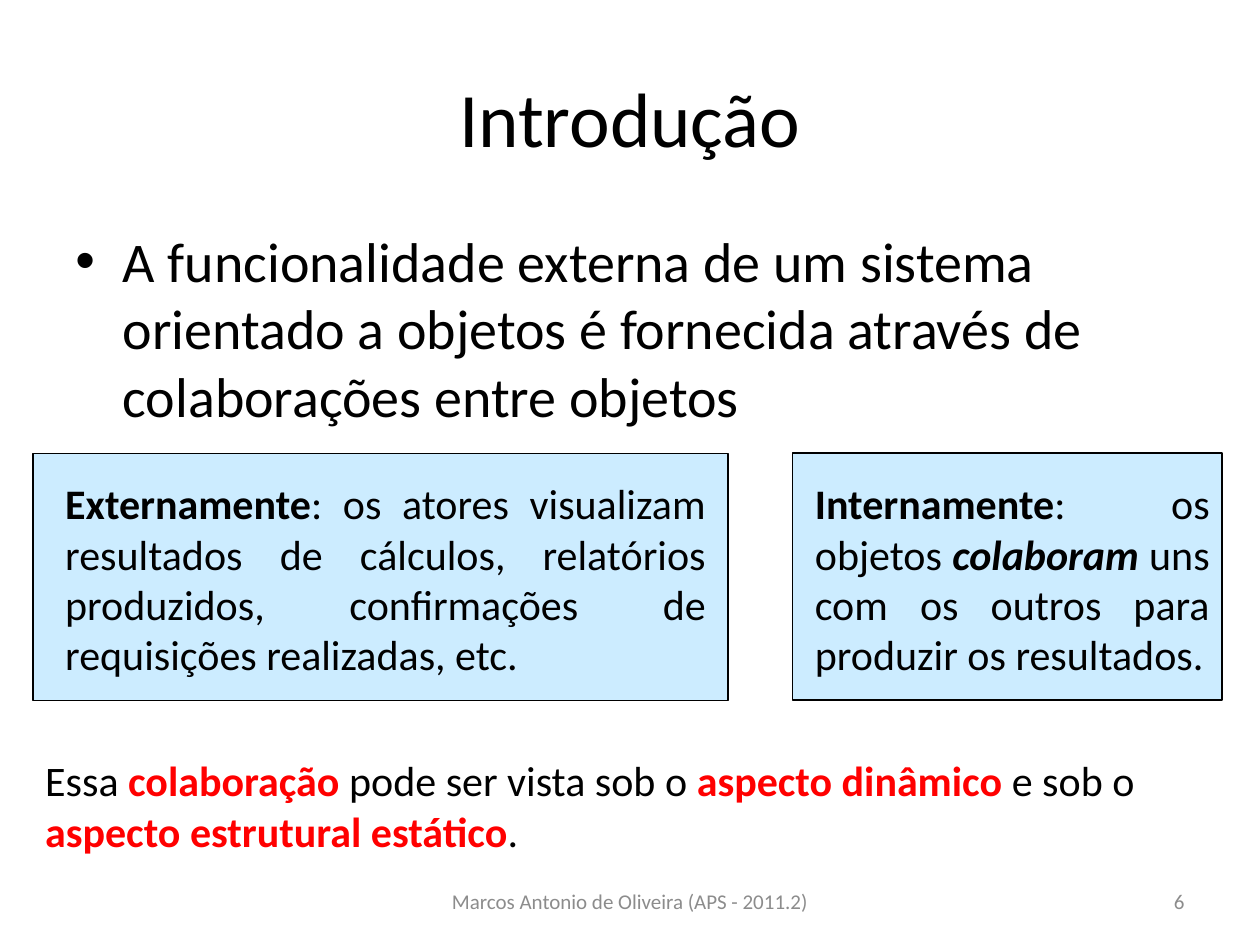
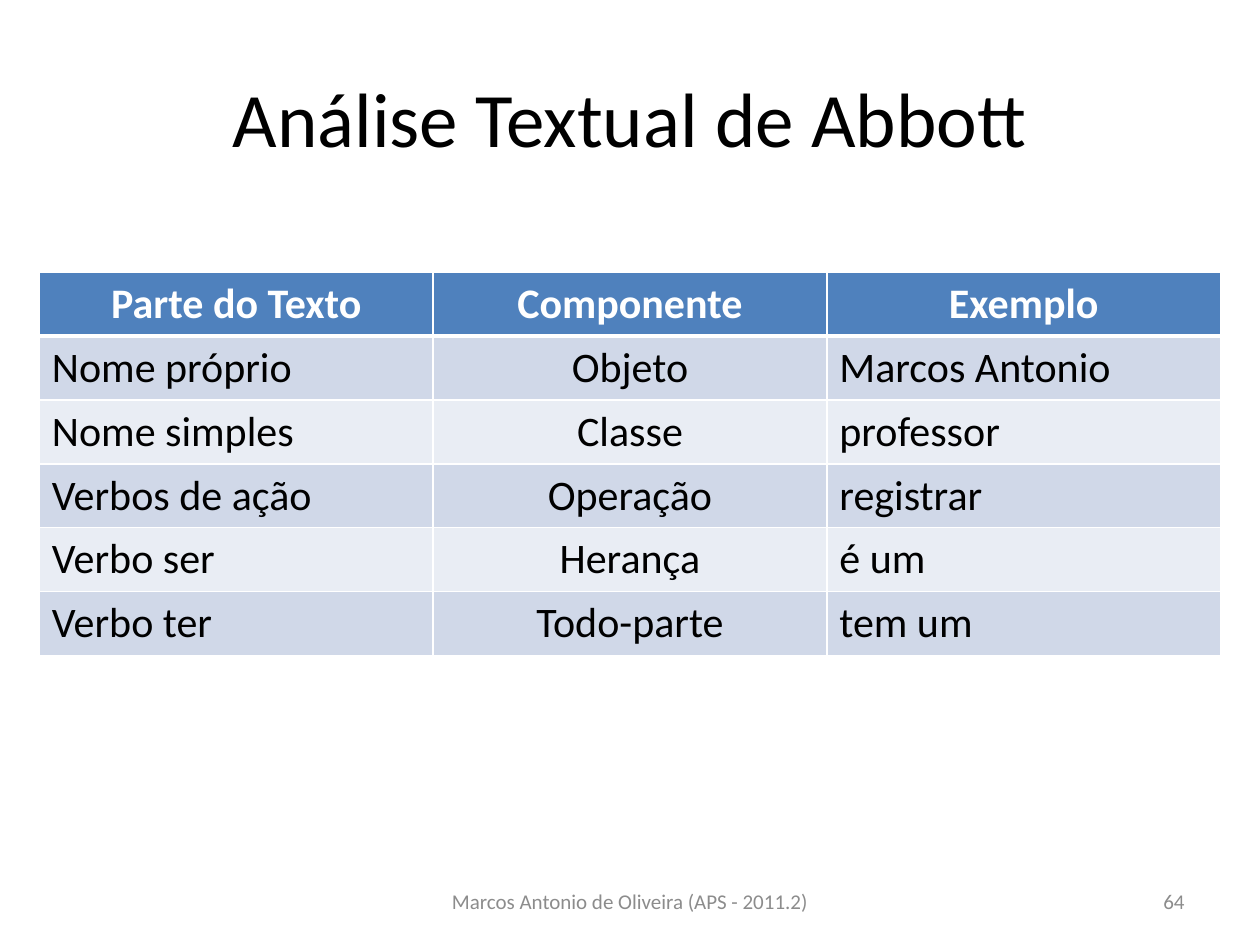
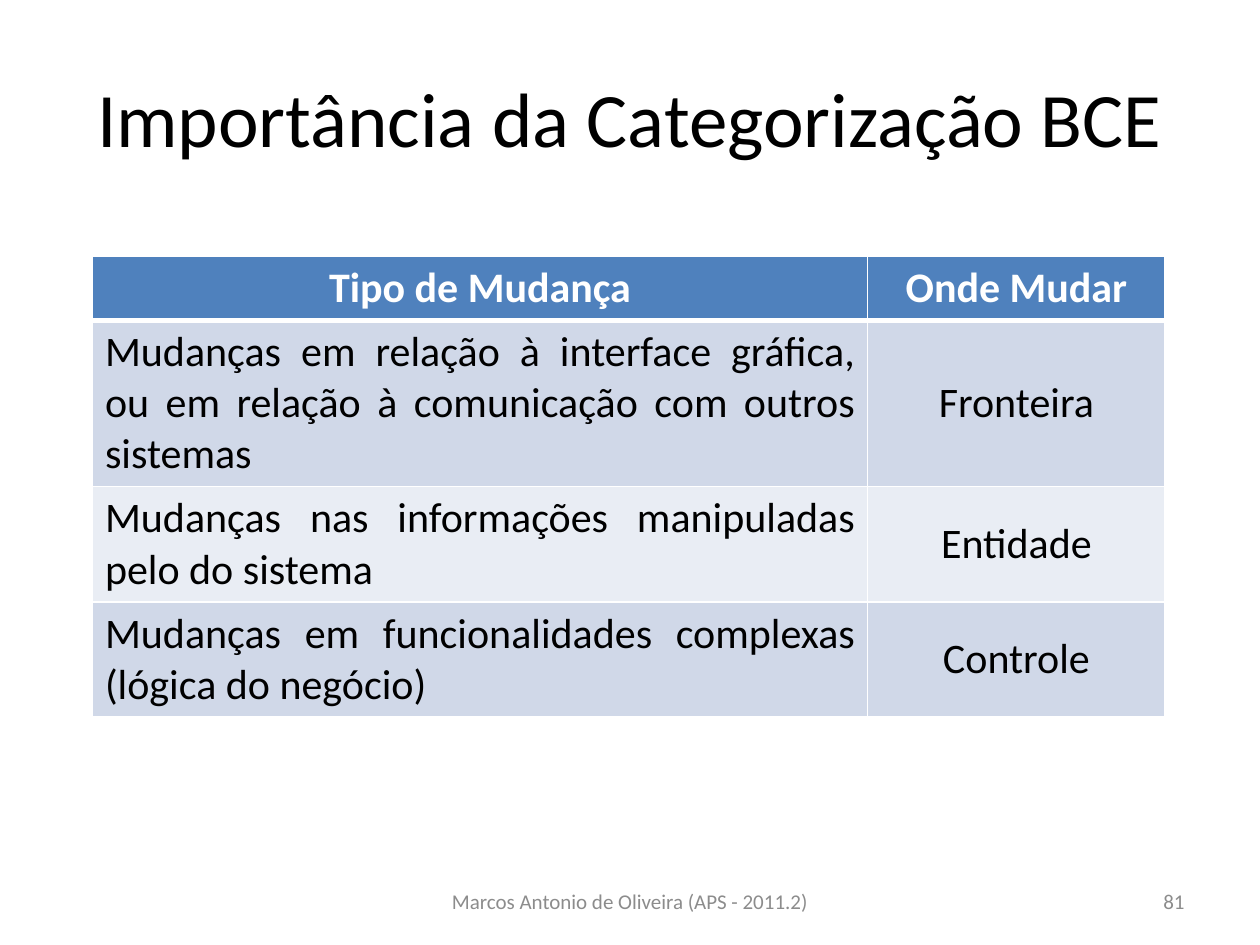
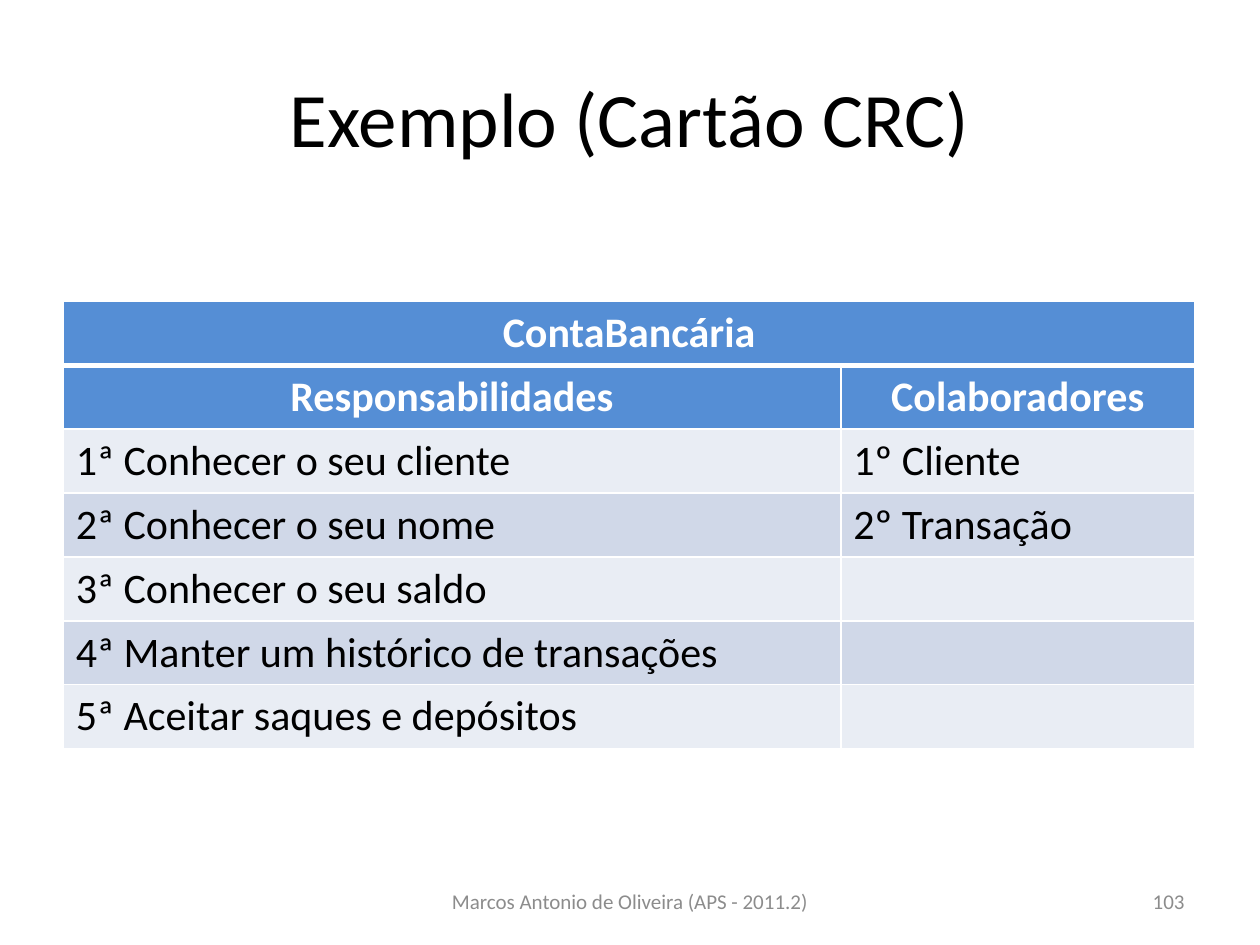
from pptx import Presentation
from pptx.dml.color import RGBColor
from pptx.enum.shapes import MSO_SHAPE as Kind
from pptx.enum.text import MSO_ANCHOR as Anchor, MSO_AUTO_SIZE as Auto, PP_ALIGN as Align
from pptx.oxml.ns import qn
from pptx.util import Pt
from lxml.etree import SubElement as Sub

# Shared look
FONT = "Calibri"
BLACK, WHITE, RED, GREY = "000000", "FFFFFF", "FF0000", "8C8C8C"
PALE, BLUE, SKY = "CCECFF", "4F81BD", "558ED5"
BANDS = "E9EDF4", "D0D8E8"
SIDES = {"l": Align.LEFT, "c": Align.CENTER, "r": Align.RIGHT, "j": Align.JUSTIFY}
TITLE = 36, 21.6, 648, 90
BODY = 36, 126, 648, 356.4
FOOT = 246, 500.4, 228, 28.8
PAGE = 516, 500.4, 168, 28.8
ROW = 29.2
AUTHOR = "Marcos Antonio de Oliveira (APS - 2011.2)"

# Run styles
BOLD = {"bold": True}
SLANT = {"bold": True, "italic": True}
KEY = {"bold": True, "color": RED}

# Content
LEAD = ("A funcionalidade externa de um sistema orientado a objetos "
        "é fornecida através de colaborações entre objetos")
CARDS = [
    ((18.7, 259.2, 397.4, 141.1), (30.2, 268.6, 380.2, 123.8), [
        ("Externamente", BOLD),
        (": os atores visualizam resultados de cálculos, relatórios produzidos, "
         "confirmações de requisições realizadas, etc.", {})]),
    ((452.9, 258.8, 245.5, 141.1), (458.6, 268.6, 239.8, 123.8), [
        ("Internamente", BOLD), (": os objetos ", {}), ("colaboram", SLANT),
        (" uns com os outros para produzir os resultados.", {})]),
]
CLOSE = [
    ("Essa ", {}), ("colaboração", KEY), (" pode ser vista sob o ", {}),
    ("aspecto dinâmico", KEY), (" e sob o ", {}),
    ("aspecto estrutural estático", KEY), (".", {}),
]
SLIDES = [
    {"title": "Introdução", "page": 6},
    {"title": "Análise Textual de Abbott", "page": 64, "grid": {
        "box": (22.5, 155.5, 216), "cols": (225, 225, 225), "sides": "lcl",
        "head": BLUE, "heads": 1, "rows": [
            ("Parte do Texto", "Componente", "Exemplo"),
            ("Nome próprio", "Objeto", "Marcos Antonio"),
            ("Nome simples", "Classe", "professor"),
            ("Verbos de ação", "Operação", "registrar"),
            ("Verbo ser", "Herança", "é um"),
            ("Verbo ter", "Todo-parte", "tem um")]}},
    {"title": "Importância da Categorização BCE", "page": 81, "grid": {
        "box": (52.8, 146.5, 259.2), "cols": (443, 170), "sides": "jc",
        "head": BLUE, "heads": 1, "anchor": Anchor.MIDDLE, "rows": [
            ("Tipo de Mudança", "Onde Mudar"),
            ("Mudanças em relação à interface gráfica, ou em relação "
             "à comunicação com outros sistemas", "Fronteira"),
            ("Mudanças nas informações manipuladas pelo do sistema", "Entidade"),
            ("Mudanças em funcionalidades complexas (lógica do negócio)",
             "Controle")]}},
    {"title": "Exemplo (Cartão CRC)", "page": 103, "grid": {
        "box": (36.2, 172.2, 252), "cols": (444.3, 202.3), "sides": "ll",
        "head": SKY, "heads": 2, "rows": [
            ("ContaBancária", None),
            ("Responsabilidades", "Colaboradores"),
            ("1ª Conhecer o seu cliente", "1º Cliente"),
            ("2ª Conhecer o seu nome", "2º Transação"),
            ("3ª Conhecer o seu saldo", ""),
            ("4ª Manter um histórico de transações", ""),
            ("5ª Aceitar saques e depósitos", "")]}},
]


def tint(hue):
    return RGBColor.from_string(hue)


def place(box):
    return [Pt(v) for v in box]


def write(frame, runs, size=24, side="l", color=BLACK, **base):
    """Fill the first paragraph with (text, style) runs and return it."""
    para = frame.paragraphs[0]
    para.alignment = SIDES[side]
    for text, style in runs:
        run = para.add_run()
        run.text = text
        look = {"name": FONT, "size": Pt(size), "bold": False, "color": color,
                **base, **style}
        run.font.color.rgb = tint(look.pop("color"))
        for name, value in look.items():
            setattr(run.font, name, value)
    return para


def label(slide, box, runs, anchor=Anchor.TOP, grow=False, **look):
    frame = slide.shapes.add_textbox(*place(box)).text_frame
    frame.word_wrap = True
    frame.vertical_anchor = anchor
    frame.auto_size = Auto.SHAPE_TO_FIT_TEXT if grow else Auto.NONE
    return write(frame, runs, **look)


def bullet(para, indent):
    props = para._p.get_or_add_pPr()
    props.set("marL", str(Pt(indent)))
    props.set("indent", str(-Pt(indent)))
    Sub(props, qn("a:buFont"), typeface="Arial")
    Sub(props, qn("a:buChar"), char="•")


def edge(cell, top, bottom):
    """White cell borders; widths in points."""
    props = cell._tc.get_or_add_tcPr()
    for tag, width in (("L", 1), ("R", 1), ("T", top), ("B", bottom)):
        line = Sub(props, qn("a:ln" + tag), w=str(Pt(width)))
        Sub(Sub(line, qn("a:solidFill")), qn("a:srgbClr"), val=WHITE)


def table(slide, grid):
    rows, cols, heads = grid["rows"], grid["cols"], grid["heads"]
    left, top, high = grid["box"]
    item = slide.shapes.add_table(
        len(rows), len(cols), *place((left, top, sum(cols), high)))
    tab = item.table
    for col, width in zip(tab.columns, cols):
        col.width = Pt(width)
    for r, texts in enumerate(rows):
        tab.rows[r].height = Pt(ROW)
        head = r < heads
        for c, text in enumerate(texts):
            cell = tab.cell(r, c)
            edge(cell, 3 if r == 1 else 1, 3 if r == 0 else 1)
            cell.fill.solid()
            cell.fill.fore_color.rgb = tint(grid["head"] if head else BANDS[r % 2])
            if text is None:
                tab.cell(r, c - 1).merge(cell)
                continue
            if not head:
                cell.vertical_anchor = grid.get("anchor", Anchor.TOP)
            if text:
                write(cell.text_frame, [(text, {})], bold=head,
                      side="c" if head else grid["sides"][c],
                      color=WHITE if head else BLACK)
            else:
                cell.text_frame.paragraphs[0].font.size = Pt(24)
    item.height = Pt(high)


def card(slide, box, area, runs):
    rect = slide.shapes.add_shape(Kind.RECTANGLE, *place(box))
    rect.shadow.inherit = False
    rect.fill.solid()
    rect.fill.fore_color.rgb = tint(PALE)
    rect.line.color.rgb = tint(BLACK)
    rect.line.width = Pt(1)
    label(slide, area, runs, anchor=Anchor.MIDDLE, grow=True, side="j")


def intro(slide):
    para = label(slide, BODY, [(LEAD, {})], size=32)
    para.space_before = Pt(2)
    bullet(para, 27)
    for box, area, runs in CARDS:
        card(slide, box, area, runs)
    label(slide, (18.7, 427.7, 680.4, 65.5), CLOSE, grow=True)


def start(deck, title, page):
    """Add a slide with its title, footer and page number."""
    slide = deck.slides.add_slide(deck.slide_layouts[5])
    head = slide.shapes.title
    for name, value in zip(("left", "top", "width", "height"), place(TITLE)):
        setattr(head, name, value)
    head.text_frame.vertical_anchor = Anchor.MIDDLE
    write(head.text_frame, [(title, {})], size=44, side="c")
    for box, text, side in ((FOOT, AUTHOR, "c"), (PAGE, str(page), "r")):
        label(slide, box, [(text, {})], anchor=Anchor.MIDDLE,
              size=12, side=side, color=GREY)
    return slide


def main():
    deck = Presentation()
    deck.slide_width, deck.slide_height = Pt(720), Pt(540)
    for data in SLIDES:
        slide = start(deck, data["title"], data["page"])
        if "grid" in data:
            table(slide, data["grid"])
        else:
            intro(slide)
    deck.save("out.pptx")


if __name__ == "__main__":
    main()
